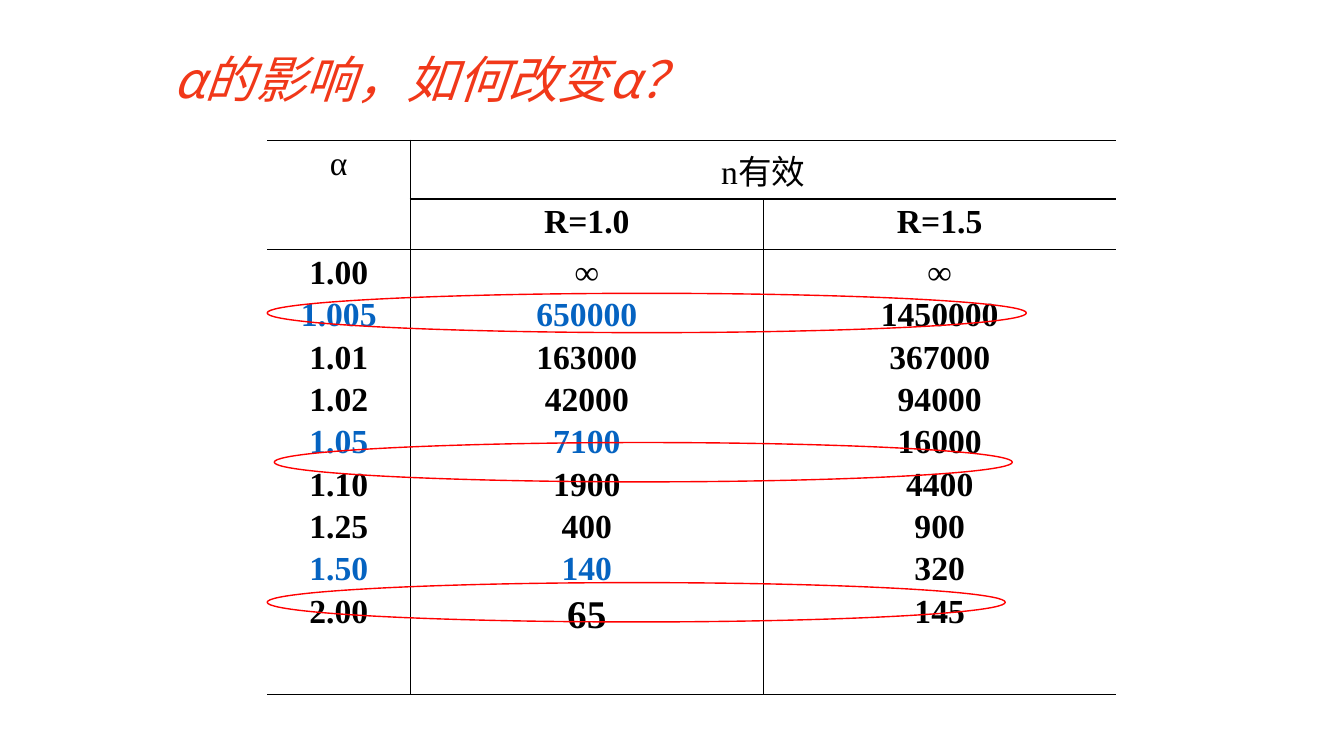
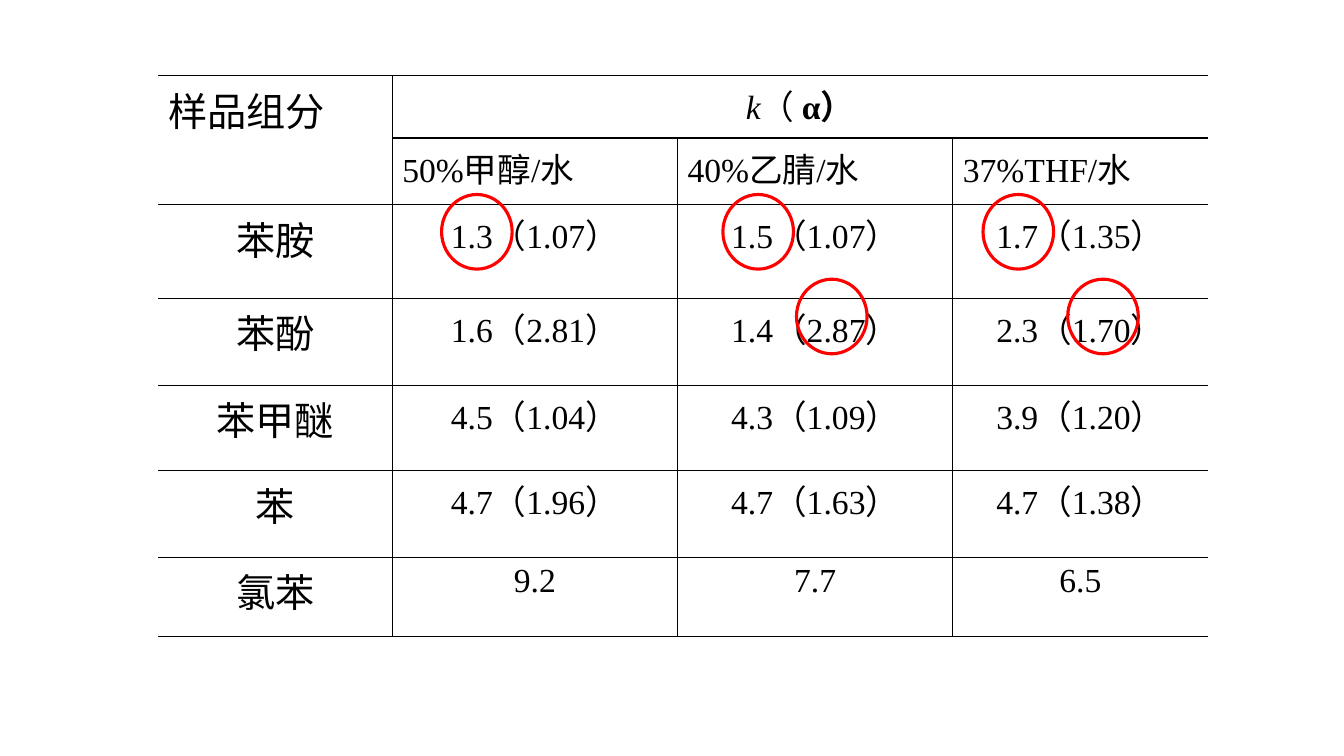
from lxml import etree
from pptx import Presentation
from pptx.dml.color import RGBColor
from pptx.enum.shapes import MSO_SHAPE
from pptx.enum.text import MSO_ANCHOR, MSO_AUTO_SIZE, PP_ALIGN as ALIGN
from pptx.oxml.ns import qn
from pptx.util import Inches, Pt

BLACK = RGBColor(0x00, 0x00, 0x00)
BLUE = RGBColor(0x05, 0x63, 0xC1)
RED = RGBColor(0xFF, 0x00, 0x00)
TITLE_RED = RGBColor(0xF1, 0x38, 0x19)
SERIF, HAN = "Times New Roman", "Noto Sans CJK SC"


def add_run(para, text, size=24, bold=False, italic=False, color=BLACK, font=SERIF):
    span = para.add_run()
    span.text = text
    span.font.name = font
    span.font.size = Pt(size)
    span.font.bold = bold
    span.font.italic = italic
    span.font.color.rgb = color
    etree.SubElement(span.font._element, qn("a:ea"), typeface=HAN)


def add_grid(page, left, top, widths, heights):
    """Ruled table, open at both sides, with a two-row stub and a spanning header."""
    frame = page.shapes.add_table(len(heights), len(widths), Inches(left), Inches(top),
                                  Inches(sum(widths)), Inches(sum(heights)))
    table = frame.table
    table.first_row = table.horz_banding = False
    for column, width in zip(table.columns, widths):
        column.width = Inches(width)
    for row, height in zip(table.rows, heights):
        row.height = Inches(height)
    last = len(widths) - 1
    table.cell(0, 0).merge(table.cell(1, 0))
    table.cell(0, 1).merge(table.cell(0, last))

    for r in range(len(heights)):
        for c in range(last + 1):
            cell = table.cell(r, c)
            ruled = {
                "L": c > 0 and not (r == 0 and c > 1),
                "R": c < last and not (r == 0 and c > 0),
                "T": (r, c) != (1, 0),
                "B": True,
            }
            properties = cell._tc.get_or_add_tcPr()
            for side, visible in ruled.items():
                line = etree.SubElement(properties, qn("a:ln" + side), w=str(Pt(1)))
                if visible:
                    fill = etree.SubElement(line, qn("a:solidFill"))
                    etree.SubElement(fill, qn("a:srgbClr"), val=str(BLACK))
                else:
                    etree.SubElement(line, qn("a:noFill"))
            cell.fill.background()
            cell.text_frame.paragraphs[0].alignment = ALIGN.CENTER
    return table


deck = Presentation()
deck.slide_width, deck.slide_height = Inches(13.33), Inches(7.5)

# Slide 1: title
alpha_page = deck.slides.add_slide(deck.slide_layouts[5])
title = alpha_page.shapes.title
title.left, title.top = Inches(1.62), Inches(0.36)
title.width, title.height = Inches(8.56), Inches(0.92)
title.text_frame.auto_size = MSO_AUTO_SIZE.NONE
title.text_frame.vertical_anchor = MSO_ANCHOR.MIDDLE
para = title.text_frame.paragraphs[0]
para.alignment = ALIGN.LEFT
para.line_spacing = 0.9
add_run(para, "α的影响，如何改变α？", 36, italic=True, color=TITLE_RED, font=HAN)

# Slide 1: table of effective plate numbers
plates = add_grid(alpha_page, 2.65, 1.39, [1.42, 3.5, 3.5], [0.5, 0.5, 4.42])
for r, c, text in [(0, 0, "α"), (0, 1, "n有效"), (1, 1, "R=1.0"), (1, 2, "R=1.5")]:
    add_run(plates.cell(r, c).text_frame.paragraphs[0], text, bold=r == 1)

plate_columns = [
    ["1.00", "1.005", "1.01", "1.02", "1.05", "1.10", "1.25", "1.50", "2.00"],
    ["∞", "650000", "163000", "42000", "7100", "1900", "400", "140", "65"],
    ["∞", "1450000", "367000", "94000", "16000", "4400", "900", "320", "145"],
]
BLUE_LINES = (1, 4, 7)
for c, values in enumerate(plate_columns):
    box = plates.cell(2, c).text_frame
    for i, value in enumerate(values):
        para = box.add_paragraph() if i else box.paragraphs[0]
        para.alignment = ALIGN.CENTER
        if i:
            para.space_before = Pt(3.7)
        add_run(para, value, 28 if value == "65" else 24, bold=True,
                color=BLUE if c < 2 and i in BLUE_LINES else BLACK)

# Slide 2: table of retention by solvent
solvent_page = deck.slides.add_slide(deck.slide_layouts[6])
retention = add_grid(solvent_page, 1.57, 0.75, [2.32, 2.83, 2.73, 2.53],
                     [0.62, 0.66, 0.93, 0.86, 0.85, 0.86, 0.78])
para = retention.cell(0, 0).text_frame.paragraphs[0]
para.alignment = ALIGN.LEFT
add_run(para, "样品组分", 28)
para = retention.cell(0, 1).text_frame.paragraphs[0]
add_run(para, "k", italic=True)
add_run(para, "（ ")
add_run(para, "α）", bold=True)
for c, solvent in enumerate(["50%甲醇/水", "40%乙腈/水", "37%THF/水"], 1):
    para = retention.cell(1, c).text_frame.paragraphs[0]
    para.alignment = ALIGN.LEFT
    add_run(para, solvent)

samples = [
    ("苯胺", "1.3（1.07）", "1.5（1.07）", "1.7（1.35）"),
    ("苯酚", "1.6（2.81）", "1.4（2.87）", "2.3（1.70）"),
    ("苯甲醚", "4.5（1.04）", "4.3（1.09）", "3.9（1.20）"),
    ("苯", "4.7（1.96）", "4.7（1.63）", "4.7（1.38）"),
    ("氯苯", "9.2", "7.7", "6.5"),
]
for r, sample in enumerate(samples, 2):
    for c, text in enumerate(sample):
        add_run(retention.cell(r, c).text_frame.paragraphs[0], text, 24 if c else 28)

# Red rings around the values to notice
rings = [(alpha_page, left, top, width, 0.39, 1) for left, top, width in
         [(2.65, 2.91, 7.53), (2.72, 4.39, 7.32), (2.65, 5.78, 7.32)]]
rings += [(solvent_page, left, top, 0.7, 0.74, 2.25) for left, top in
          [(4.38, 1.93), (7.17, 1.93), (9.75, 1.93), (7.9, 2.77), (10.59, 2.77)]]
for page, left, top, width, height, weight in rings:
    ring = page.shapes.add_shape(MSO_SHAPE.OVAL, Inches(left), Inches(top),
                                 Inches(width), Inches(height))
    ring.shadow.inherit = False
    ring.fill.background()
    ring.line.color.rgb = RED
    ring.line.width = Pt(weight)

deck.save("out.pptx")
